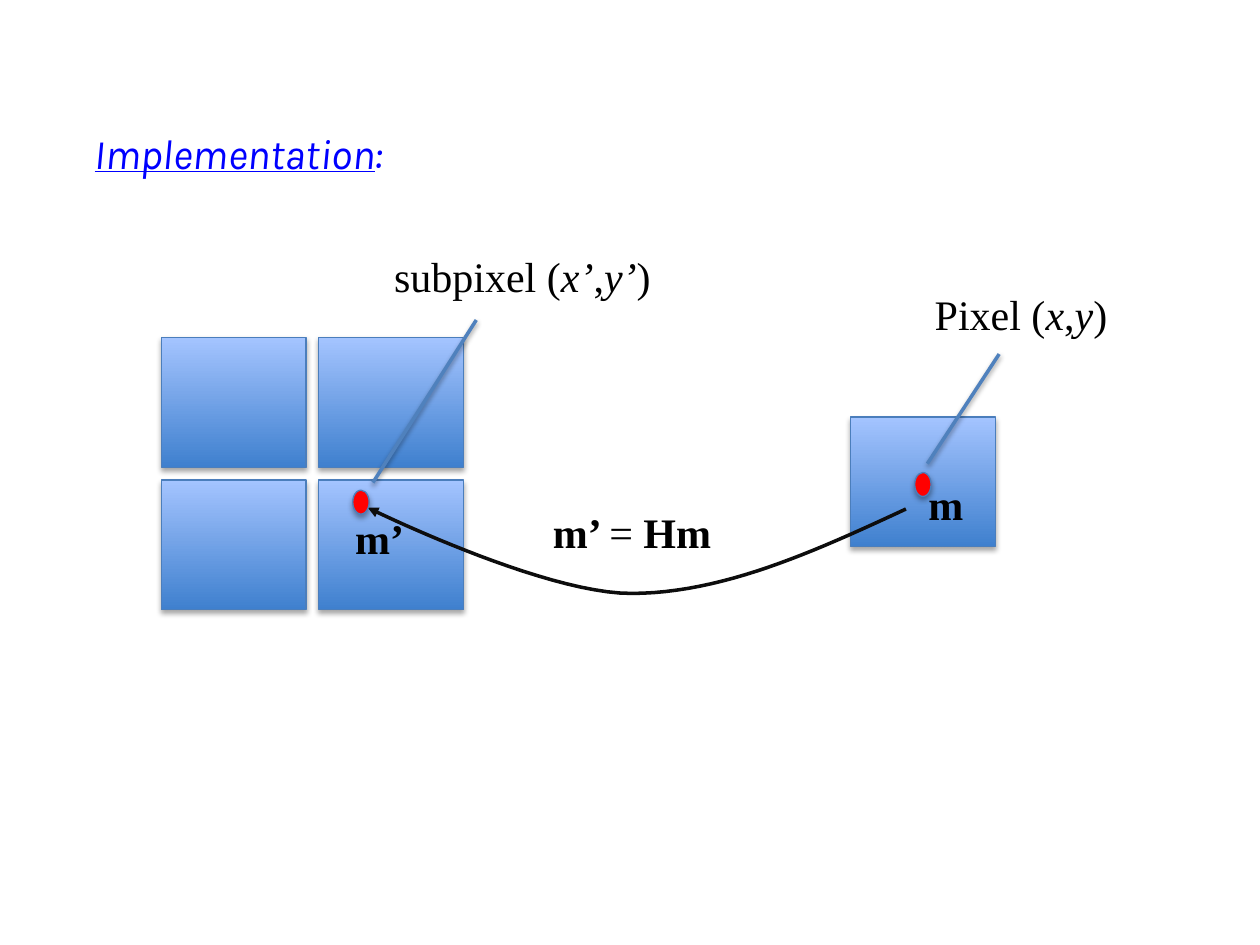
from dataclasses import dataclass
from itertools import product

from lxml.etree import SubElement
from pptx import Presentation
from pptx.dml.color import RGBColor
from pptx.enum.shapes import MSO_CONNECTOR, MSO_SHAPE
from pptx.enum.text import MSO_ANCHOR, MSO_AUTO_SIZE, PP_ALIGN
from pptx.oxml.ns import qn
from pptx.util import Inches, Pt


@dataclass(frozen=True)
class Theme:
    """Colours, fonts and type sizes of the slide."""

    title_font: str = "Karla"
    label_font: str = "Times New Roman"
    text_size: int = 24
    title: str = "0000FF"
    text: str = "000000"
    pixel_bottom: str = "3F80CE"
    pixel_top: str = "A4C4FF"
    outline: str = "4B7EBC"
    point: str = "FF0000"
    pointer: str = "4F81BD"
    mapping: str = "0D0D0D"
    shadow: str = "000000"


class Diagram:
    """Draws the elements of the homography diagram on one slide."""

    def __init__(self, page, theme):
        self.page = page
        self.theme = theme

    def style_line(self, shape, color, width):
        """Set the colour and width of a line."""
        shape.line.color.rgb = RGBColor.from_string(color)
        shape.line.width = Pt(width)

    def add_shadow(self, shape, opacity, distance):
        """Give a shape or connector a soft shadow below it."""
        effects = SubElement(shape._element.spPr, qn("a:effectLst"))
        shadow = SubElement(effects, qn("a:outerShdw"), blurRad=str(Pt(3.1)),
                            dist=str(Pt(distance)), dir="5400000", rotWithShape="0")
        color = SubElement(shadow, qn("a:srgbClr"), val=self.theme.shadow)
        SubElement(color, qn("a:alpha"), val=str(opacity * 1000))

    def style_font(self, font, name, color):
        """Set the shared font properties of a paragraph."""
        font.name = name
        font.size = Pt(self.theme.text_size)
        font.color.rgb = RGBColor.from_string(color)

    def title(self, text, ending, left, top, width, height):
        """Place the title with an underlined text and a plain ending."""
        box = self.page.shapes.title
        box.left, box.top = Inches(left), Inches(top)
        box.width, box.height = Inches(width), Inches(height)
        box.text_frame.vertical_anchor = MSO_ANCHOR.TOP
        paragraph = box.text_frame.paragraphs[0]
        paragraph.alignment = PP_ALIGN.LEFT
        self.style_font(paragraph.font, self.theme.title_font, self.theme.title)
        paragraph.font.italic = True
        for words, underlined in ((text, True), (ending, False)):
            span = paragraph.add_run()
            span.text = words
            span.font.underline = underlined

    def label(self, spans, left, top, width):
        """Add a one-line label from (text, style) spans."""
        box = self.page.shapes.add_textbox(
            Inches(left), Inches(top), Inches(width), Inches(0.5))
        box.text_frame.word_wrap = False
        box.text_frame.auto_size = MSO_AUTO_SIZE.SHAPE_TO_FIT_TEXT
        paragraph = box.text_frame.paragraphs[0]
        self.style_font(paragraph.font, self.theme.label_font, self.theme.text)
        for text, style in spans:
            span = paragraph.add_run()
            span.text = text
            span.font.bold = style == "bold"
            span.font.italic = style == "italic"

    def outlined(self, kind, left, top, width, height):
        """Add a preset shape with the shared outline and shadow."""
        shape = self.page.shapes.add_shape(
            kind, Inches(left), Inches(top), Inches(width), Inches(height))
        self.style_line(shape, self.theme.outline, 0.75)
        self.add_shadow(shape, 35, 1.8)
        return shape

    def pixel(self, left, top):
        """Add a pixel square with a vertical gradient."""
        square = self.outlined(MSO_SHAPE.RECTANGLE, left, top, 1.15, 1.03)
        square.fill.gradient()
        square.fill.gradient_angle = 90
        colors = (self.theme.pixel_bottom, self.theme.pixel_top)
        for position, (stop, color) in enumerate(zip(square.fill.gradient_stops, colors)):
            stop.position = position
            stop.color.rgb = RGBColor.from_string(color)

    def point(self, left, top):
        """Add a red point."""
        dot = self.outlined(MSO_SHAPE.OVAL, left, top, 0.13, 0.19)
        dot.fill.solid()
        dot.fill.fore_color.rgb = RGBColor.from_string(self.theme.point)

    def pointer(self, start, end):
        """Add a straight line from a label to a point."""
        line = self.page.shapes.add_connector(
            MSO_CONNECTOR.STRAIGHT, *map(Inches, start + end))
        self.style_line(line, self.theme.pointer, 2)
        self.add_shadow(line, 38, 1.6)

    def curved_arrow(self, start, curves, steps=24):
        """Add an arrow along cubic curves, each given by three points."""
        points = [start]
        for controls in curves:
            corners = (points[-1], *controls)
            for step in range(1, steps + 1):
                t = step / steps
                weights = ((1 - t) ** 3, 3 * t * (1 - t) ** 2, 3 * t ** 2 * (1 - t), t ** 3)
                points.append(tuple(
                    sum(weight * value for weight, value in zip(weights, axis))
                    for axis in zip(*corners)))
        builder = self.page.shapes.build_freeform(*map(Inches, start))
        builder.add_line_segments(
            [tuple(map(Inches, point)) for point in points[1:]], close=False)
        arrow = builder.convert_to_shape()
        arrow.fill.background()
        arrow.shadow.inherit = False
        self.style_line(arrow, self.theme.mapping, 2)
        SubElement(arrow.line._get_or_add_ln(), qn("a:tailEnd"), type="triangle")


def main():
    """Build the slide and save the deck."""
    deck = Presentation()
    deck.slide_width, deck.slide_height = Inches(10), Inches(7.5)
    page = deck.slides.add_slide(deck.slide_layouts[5])
    diagram = Diagram(page, Theme())

    diagram.title("Implementation", ":", 0.65, 0.96, 8.99, 0.91)
    diagram.pixel(6.75, 3.31)
    diagram.label([("Pixel (", ""), ("x", "italic"), (",", ""),
                   ("y", "italic"), (")", "")], 7.32, 2.24, 1.59)
    for row, column in product(range(2), repeat=2):
        diagram.pixel(1.28 + 1.25 * column, 2.68 + 1.13 * row)
    diagram.point(7.26, 3.75)
    diagram.label([("m", "bold")], 7.27, 3.75, 0.48)
    diagram.label([("m’ ", "bold"), ("= ", ""), ("Hm", "bold")], 4.29, 3.97, 1.52)
    diagram.curved_arrow((7.19, 4.04), [
        ((6.46, 4.38), (5.73, 4.71), (5.01, 4.71)),
        ((4.3, 4.71), (2.92, 4.03), (2.92, 4.03)),
    ])
    diagram.point(2.8, 3.89)
    diagram.label([("m’", "bold")], 2.72, 4.02, 0.59)
    diagram.label([("subpixel (", ""), ("x’", "italic"), (",", ""),
                   ("y’", "italic"), (")", "")], 3.03, 1.94, 2.26)
    diagram.pointer((3.78, 2.54), (2.96, 3.83))
    diagram.pointer((7.93, 2.81), (7.36, 3.68))
    deck.save("out.pptx")


if __name__ == "__main__":
    main()
